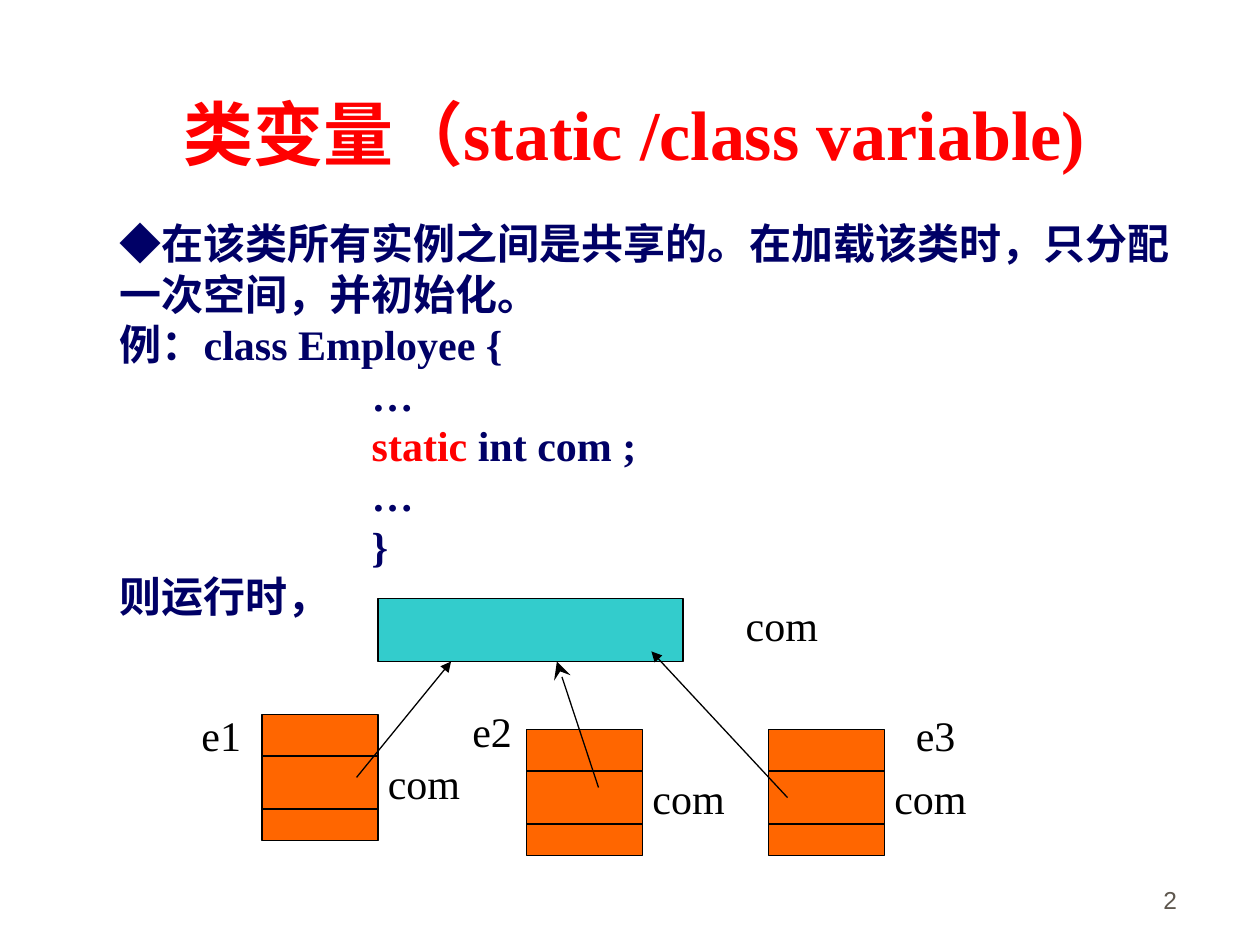
import pptx
import pptx.util
import pptx.dml.color
import pptx.enum.shapes
import pptx.enum.text
import pptx.oxml.ns
import lxml.etree

Inches, Pt = pptx.util.Inches, pptx.util.Pt
ALIGN, ANCHOR = pptx.enum.text.PP_ALIGN, pptx.enum.text.MSO_ANCHOR
SERIF, SANS = "Times New Roman", "Arial"
COLORS = {
    "title": "FF0000", "body": "000066", "keyword": "FF0000", "ink": "000000",
    "shared": "33CCCC", "instance": "FF6600", "number": "5E574E",
}

# Content
TITLE = "类变量（static /class variable)"
# Each paragraph is an indent in inches and a list of (text, colour, font)
BODY = [
    (0, [("◆", "body", SANS),
         ("在该类所有实例之间是共享的。在加载该类时，只分配", "body", SERIF)]),
    (0, [("一次空间，并初始化。", "body", SERIF)]),
    (0, [("例：class Employee {", "body", SERIF)]),
    (2, [("…", "body", SERIF)]),
    (2, [("static ", "keyword", SERIF), ("int com ;", "body", SERIF)]),
    (2, [("…", "body", SERIF)]),
    (2, [("}", "body", SERIF)]),
    (0, [("则运行时，", "body", SERIF)]),
]
PAGE_NUMBER = "2"
SHARED_BAR = (3, 4.75, 2.42, 0.5)
SHARED_LABEL = (5.82, 4.71)
# Instance name, its label position, block corner, arrow (from, to, head, size)
INSTANCES = [
    ("e1", (1.5, 5.58), (2.08, 5.67), ((2.83, 6.17), (3.58, 5.25), "triangle", "med")),
    ("e2", (3.65, 5.55), (4.18, 5.79), ((4.75, 6.25), (4.42, 5.25), "stealth", "lg")),
    ("e3", (7.17, 5.58), (6.1, 5.79), ((6.25, 6.33), (5.17, 5.17), "triangle", "med")),
]
BLOCK_WIDTH, BLOCK_HEIGHT = 0.92, 1
DIVIDERS = (0.33, 0.75)
FIELD_OFFSET = (0.9, 0.29)
FIELD_WIDTH, NAME_WIDTH, LABEL_HEIGHT = 0.77, 0.51, 0.5


def rgb(name):
    return pptx.dml.color.RGBColor.from_string(COLORS[name])


def add_xml(parent, tag, **attributes):
    return lxml.etree.SubElement(parent, pptx.oxml.ns.qn(tag), attributes)


def style(font, size, color, name=SERIF, bold=False):
    font.size, font.name, font.bold = Pt(size), name, bold
    font.color.rgb = rgb(color)


def place(shape, left, top, width, height):
    shape.left, shape.top = Inches(left), Inches(top)
    shape.width, shape.height = Inches(width), Inches(height)


def set_frame(frame, anchor=ANCHOR.TOP):
    frame.word_wrap = False
    frame.auto_size = pptx.enum.text.MSO_AUTO_SIZE.NONE
    frame.vertical_anchor = anchor


def add_label(page, text, left, top, width, size=24, color="ink", name=SERIF,
              align=ALIGN.LEFT, anchor=ANCHOR.TOP):
    box = page.shapes.add_textbox(*map(Inches, (left, top, width, LABEL_HEIGHT)))
    set_frame(box.text_frame, anchor)
    box.text_frame.text = text
    para = box.text_frame.paragraphs[0]
    para.alignment = align
    style(para.runs[0].font, size, color, name)


def add_block(page, left, top, width, height, color):
    block = page.shapes.add_shape(pptx.enum.shapes.MSO_SHAPE.RECTANGLE,
                                  *map(Inches, (left, top, width, height)))
    block.shadow.inherit = False
    block.fill.solid()
    block.fill.fore_color.rgb = rgb(color)
    block.line.color.rgb = rgb("ink")
    block.line.width = Pt(0.75)


def add_line(page, start, end, head=None, size="med"):
    line = page.shapes.add_connector(pptx.enum.shapes.MSO_CONNECTOR.STRAIGHT,
                                     *map(Inches, (*start, *end)))
    line.line.color.rgb = rgb("ink")
    line.line.width = Pt(0.75)
    if head:
        add_xml(line.line._get_or_add_ln(), "a:tailEnd", type=head, w=size, len=size)
    add_xml(line._element.spPr, "a:effectLst")


def fill_title(title):
    place(title, 1.36, 0.67, 7.8, 0.77)
    set_frame(title.text_frame)
    title.text_frame.text = TITLE
    para = title.text_frame.paragraphs[0]
    para.alignment = ALIGN.LEFT
    style(para.runs[0].font, 40, "title", bold=True)


def fill_body(body):
    place(body, 0.85, 1.68, 8.8, 3.3)
    frame = body.text_frame
    set_frame(frame)
    for index, (indent, spans) in enumerate(BODY):
        para = frame.add_paragraph() if index else frame.paragraphs[0]
        properties = para._p.get_or_add_pPr()
        properties.set("marL", str(Inches(indent)))
        properties.set("indent", "0")
        add_xml(properties, "a:buNone")
        para.alignment = ALIGN.LEFT
        para.space_before = Pt(0)
        para.line_spacing = Pt(28.8)
        for text, color, name in spans:
            span = para.add_run()
            span.text = text
            style(span.font, 24, color, name, bold=True)


def main():
    deck = pptx.Presentation()
    deck.slide_width, deck.slide_height = Inches(10), Inches(7.5)
    page = deck.slides.add_slide(deck.slide_layouts[1])

    # Text
    fill_title(page.shapes.title)
    fill_body(page.placeholders[1])
    add_label(page, PAGE_NUMBER, 7.36, 6.81, 2.08, 14, "number", SANS,
              ALIGN.RIGHT, ANCHOR.BOTTOM)

    # Shared variable
    add_block(page, *SHARED_BAR, "shared")
    add_label(page, "com", *SHARED_LABEL, FIELD_WIDTH)

    # Instances, each with its field and name
    for name, name_at, (left, top), arrow in INSTANCES:
        add_block(page, left, top, BLOCK_WIDTH, BLOCK_HEIGHT, "instance")
        for offset in DIVIDERS:
            add_line(page, (left, top + offset), (left + BLOCK_WIDTH, top + offset))
        add_label(page, "com", left + FIELD_OFFSET[0], top + FIELD_OFFSET[1], FIELD_WIDTH)
        add_line(page, *arrow)
        add_label(page, name, *name_at, NAME_WIDTH)

    deck.save("out.pptx")


if __name__ == "__main__":
    main()
